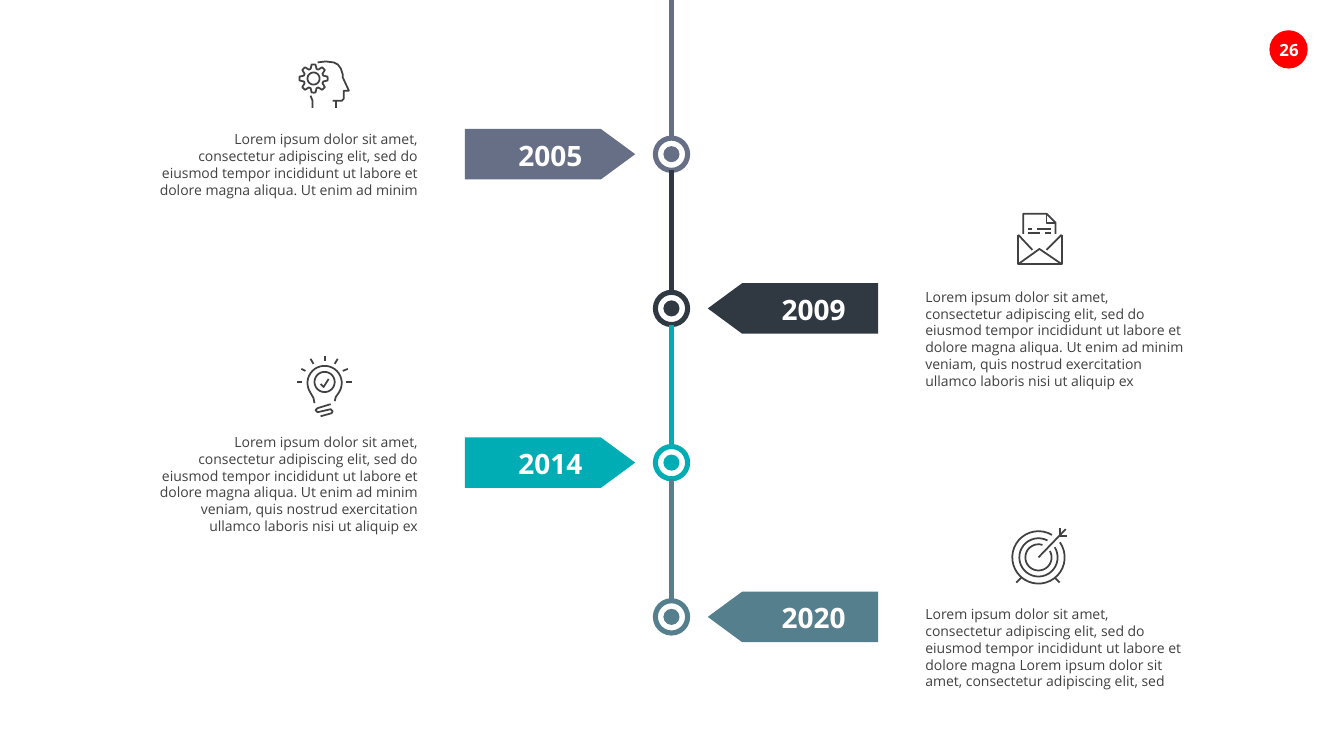
import dataclasses
import math

import lxml.etree
import pptx
import pptx.dml.color
import pptx.enum.shapes
import pptx.enum.text
import pptx.oxml.ns
import pptx.util

PX = 9144  # one hundredth of an inch in EMU
SHAPE = pptx.enum.shapes.MSO_SHAPE
ALIGN = pptx.enum.text.PP_ALIGN
rgb = pptx.dml.color.RGBColor.from_string


@dataclasses.dataclass(frozen=True)
class Theme:
    font: str = "Open Sans"
    white: str = "FFFFFF"
    ink: str = "414042"
    badge: str = "FF0000"
    slate: str = "666F85"
    navy: str = "303841"
    teal: str = "00ADB5"
    steel: str = "557F8C"
    body_size: int = 10
    badge_size: int = 12
    year_size: int = 20
    axis_line: float = 3.63
    icon_line: float = 1.25


theme = Theme()


def arc(x, y, radius, start, end):
    """Return points along a clockwise arc; angles are degrees from the right."""
    steps = max(1, math.ceil((end - start) / 10))
    angles = [math.radians(start + (end - start) * i / steps) for i in range(steps + 1)]
    return [(x + radius * math.cos(a), y + radius * math.sin(a)) for a in angles]


def add_text(text, bounds, size, color, align, bold=False, wrap=False, inset=None):
    box = slide.shapes.add_textbox(*(value * PX for value in bounds))
    frame = box.text_frame
    frame.text = text
    frame.word_wrap = wrap
    frame.auto_size = pptx.enum.text.MSO_AUTO_SIZE.SHAPE_TO_FIT_TEXT
    if inset is not None:
        frame.margin_left = frame.margin_right = inset * PX
        frame.margin_top = frame.margin_bottom = inset * PX
    para = frame.paragraphs[0]
    para.alignment = align
    font = para.runs[0].font
    font.name, font.size, font.bold = theme.font, pptx.util.Pt(size), bold
    font.color.rgb = rgb(color)


deck = pptx.Presentation()
deck.slide_width, deck.slide_height = 1333 * PX, 750 * PX
slide = deck.slides.add_slide(deck.slide_layouts[6])

# Timeline: axis, rings, year tags and descriptions
AXIS, PITCH, RING, DOT = 666, 153, 32, 16
TAG_WIDTH, TAG_HEIGHT, TAG_GAP = 169, 50, 36
opening = ("Lorem ipsum dolor sit amet, consectetur adipiscing elit, sed do "
           "eiusmod tempor incididunt ut labore et dolore magna ")
short_text = opening + "aliqua. Ut enim ad minim"
long_text = short_text + " veniam, quis nostrud exercitation ullamco laboris nisi ut aliquip ex"
last_text = opening + "Lorem ipsum dolor sit amet, consectetur adipiscing elit, sed"
milestones = [
    ("2005", theme.slate, short_text, 125, 77),
    ("2009", theme.navy, long_text, 281, 111),
    ("2014", theme.teal, long_text, 425, 111),
    ("2020", theme.steel, last_text, 596, 94),
]
solids = [(SHAPE.OVAL, (1259, 30, 38, 38), theme.badge, 0)]
line_top = 0
for index, (year, color, description, text_top, text_height) in enumerate(milestones):
    center = PITCH * (index + 1)
    ring_top = center - RING // 2
    on_left = index % 2 == 0

    line = slide.shapes.add_connector(
        pptx.enum.shapes.MSO_CONNECTOR.STRAIGHT,
        AXIS * PX, line_top * PX, AXIS * PX, ring_top * PX)
    lxml.etree.SubElement(line._element.spPr, pptx.oxml.ns.qn("a:effectLst"))
    ring = slide.shapes.add_shape(
        SHAPE.OVAL, (AXIS - RING // 2) * PX, ring_top * PX, RING * PX, RING * PX)
    ring.shadow.inherit = False
    ring.fill.background()
    for outline in (line.line, ring.line):
        outline.color.rgb = rgb(color)
        outline.width = pptx.util.Pt(theme.axis_line)
    line_top = ring_top + RING

    tag_left = AXIS - TAG_GAP - TAG_WIDTH if on_left else AXIS + TAG_GAP
    tag = (tag_left, center - TAG_HEIGHT // 2, TAG_WIDTH, TAG_HEIGHT)
    dot = (AXIS - DOT // 2, center - DOT // 2, DOT, DOT)
    solids += [(SHAPE.OVAL, dot, color, 0),
               (SHAPE.PENTAGON, tag, color, 0 if on_left else 180)]
    add_text(description, (147 if on_left else 908, text_top, 277, text_height),
             theme.body_size, theme.ink, ALIGN.RIGHT if on_left else ALIGN.LEFT, wrap=True)

for preset, bounds, color, rotation in solids:
    solid = slide.shapes.add_shape(preset, *(value * PX for value in bounds))
    solid.shadow.inherit = False
    solid.fill.solid()
    solid.fill.fore_color.rgb = rgb(color)
    solid.line.fill.background()
    solid.rotation = rotation
    if preset == SHAPE.PENTAGON:
        solid.adjustments[0] = 0.68

for index, milestone in enumerate(milestones):
    year_box = (775 if index % 2 else 514, PITCH * (index + 1) - 16, 64, 34)
    add_text(milestone[0], year_box, theme.year_size, theme.white, ALIGN.CENTER,
             bold=True, inset=0)
add_text("26", (1257, 35, 43, 30), theme.badge_size, theme.white, ALIGN.CENTER, bold=True)

# Line icons: each is a list of strokes
gear = []
for angle in range(0, 360, 45):
    gear += arc(311, 78, 14, angle - 8, angle + 8) + arc(311, 78, 10, angle + 17, angle + 28)
head = [
    gear + gear[:1],
    arc(311, 78, 6, 0, 360),
    [(315, 62), (323, 61), (331, 62), (335, 64), (338, 68), (340, 74), (340, 77), (346, 90),
     (341, 90), (341, 98), (339, 100), (330, 100)],
    [(333, 100), (333, 107)],
    [(310, 107), (310, 100), (308, 95)],
]
bulb = [
    [(312, 400), (311, 395)] + arc(322, 380, 17, 146, 394) + [(333, 394), (332, 398)],
    arc(322, 379, 10, 0, 360),
    [(318, 381), (321, 384), (326, 376)],
    [(328, 401), (315, 405), (313, 407), (315, 409), (328, 406), (330, 408), (329, 410),
     (318, 413)],
    [(322, 358), (322, 353)],
    [(311, 361), (308, 356)],
    [(299, 366), (303, 368)],
    [(295, 379), (300, 379)],
    [(335, 356), (332, 361)],
    [(345, 366), (340, 368)],
    [(343, 379), (349, 379)],
]
letter = [
    [(1053, 233), (1053, 262), (1010, 262), (1010, 233)],
    [(1053, 262), (1031, 247), (1010, 262)],
    [(1053, 233), (1038, 248)],
    [(1010, 233), (1024, 248)],
    [(1047, 232), (1047, 221), (1038, 212), (1015, 212), (1015, 232)],
    [(1038, 212), (1038, 221), (1047, 221)],
    [(1024, 227), (1020, 227)],
    [(1042, 227), (1029, 227)],
    [(1020, 231), (1032, 231)],
    [(1042, 231), (1037, 231)],
]
target = [
    arc(1030, 553, 26, -35, 301),
    arc(1030, 553, 19, -32, 298),
    arc(1030, 553, 13, -29, 288),
    [(1030, 553), (1057, 525)],
    [(1051, 524), (1051, 532), (1058, 532)],
    [(1008, 578), (1013, 573)],
    [(1046, 573), (1051, 578)],
]
for strokes in (head, letter, bulb, target):
    builder = slide.shapes.build_freeform(strokes[0][0][0] * PX, strokes[0][0][1] * PX)
    for stroke in strokes:
        points = [(x * PX, y * PX) for x, y in stroke]
        if stroke is not strokes[0]:
            builder.move_to(*points[0])
        builder.add_line_segments(points[1:], close=False)
    icon = builder.convert_to_shape()
    icon.shadow.inherit = False
    icon.fill.background()
    icon.line.color.rgb = rgb(theme.ink)
    icon.line.width = pptx.util.Pt(theme.icon_line)

deck.save("out.pptx")
